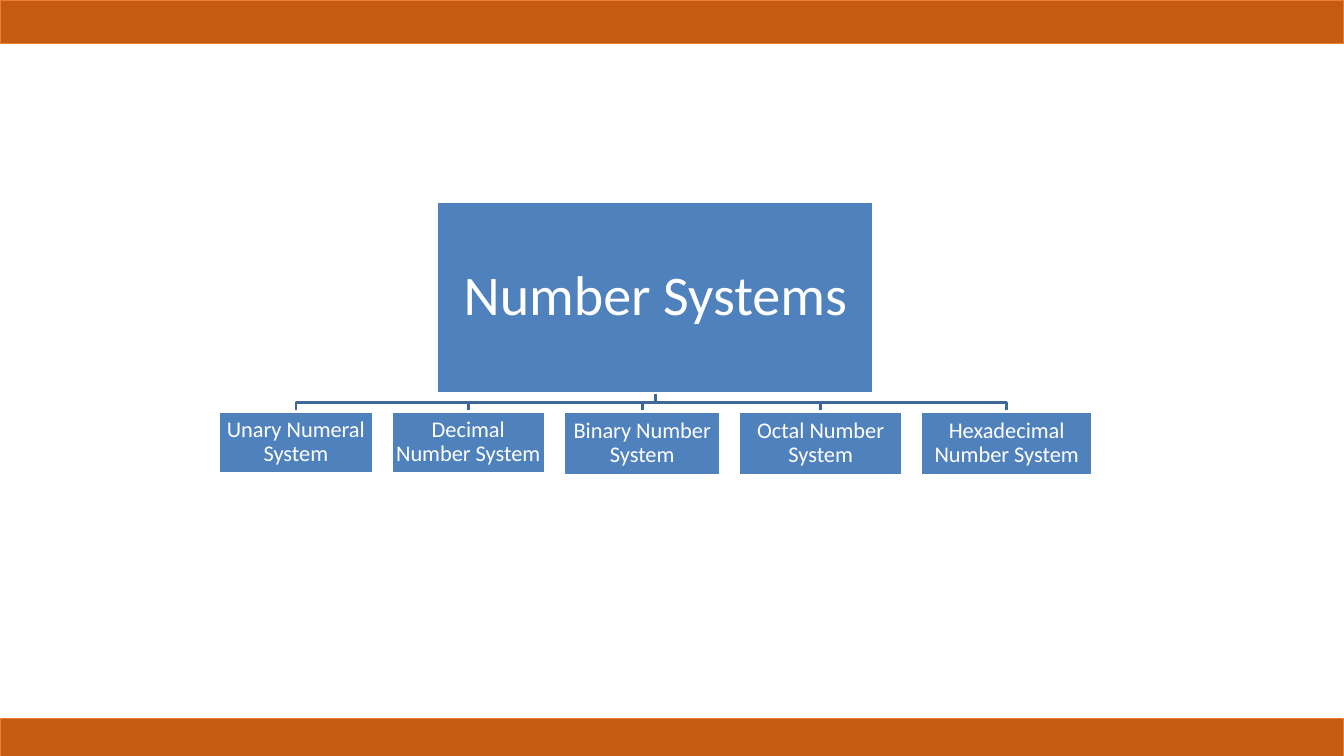
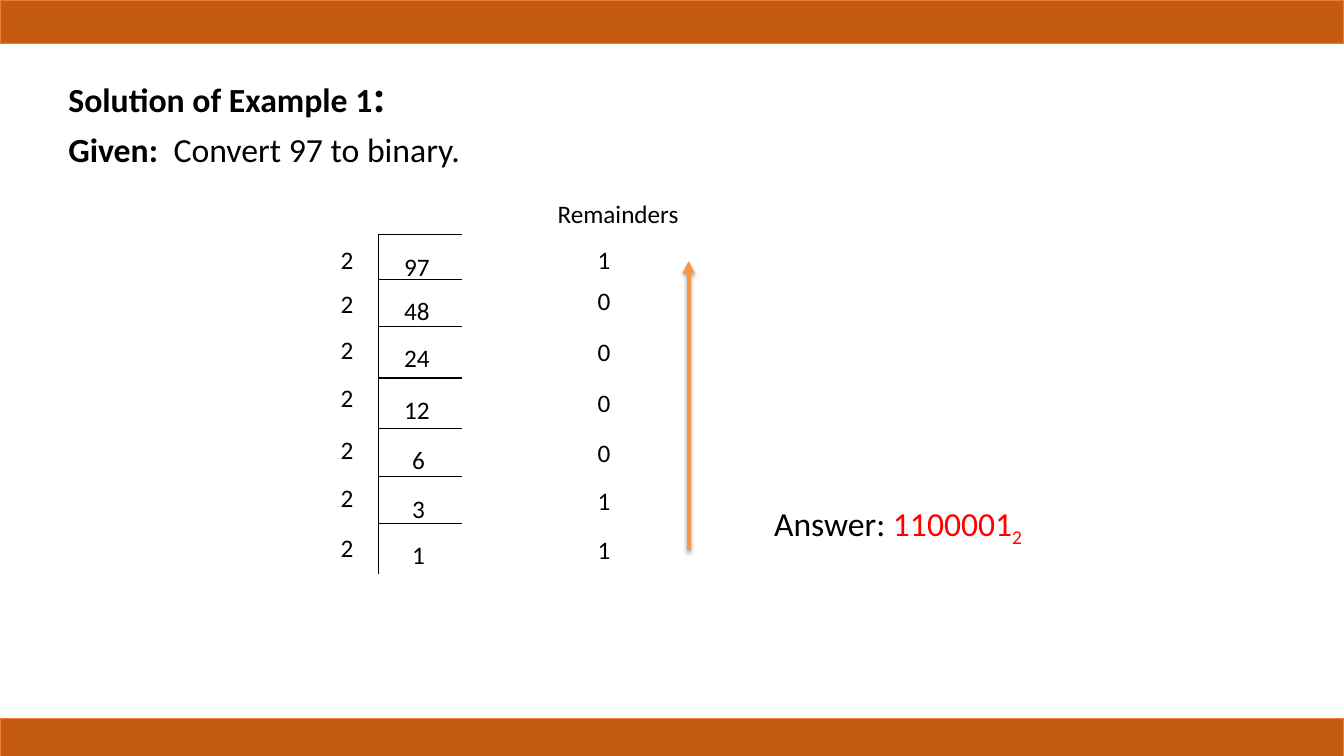
from lxml import etree
from pptx import Presentation
from pptx.dml.color import RGBColor
from pptx.enum.shapes import MSO_CONNECTOR as Connector, MSO_SHAPE as Shape
from pptx.enum.text import MSO_ANCHOR as Anchor, PP_ALIGN as Align
from pptx.oxml.ns import qn
from pptx.util import Inches, Pt

FONT = "Calibri"
BLACK, WHITE, RED = "000000", "FFFFFF", "FF0000"
BAND_FILL, BAND_LINE = "C55A11", "ED7D31"
NODE_FILL, BRANCH = "4F81BD", "3F6797"
ARROW = "F79646"
SLIDE_W, SLIDE_H = 13.33, 7.5
BAND_H, FOOTER_TOP = 0.43, 7.13


def rgb(hex_text):
    return RGBColor.from_string(hex_text)


def style_run(run, size, color=BLACK, bold=False):
    run.font.name = FONT
    run.font.size = Pt(size)
    run.font.bold = bold
    run.font.color.rgb = rgb(color)


def add_rect(slide, box, fill, line, width):
    rect = slide.shapes.add_shape(Shape.RECTANGLE, *map(Inches, box))
    rect.shadow.inherit = False
    rect.fill.solid()
    rect.fill.fore_color.rgb = rgb(fill)
    rect.line.color.rgb = rgb(line)
    rect.line.width = Pt(width)
    return rect


def add_line(slide, start, end, color=BLACK, width=0.75):
    """Draw a straight line; return it with its empty effect list."""
    line = slide.shapes.add_connector(
        Connector.STRAIGHT, *map(Inches, (*start, *end)))
    line.line.color.rgb = rgb(color)
    line.line.width = Pt(width)
    effects = etree.SubElement(line._element.spPr, qn("a:effectLst"))
    return line, effects


def add_text(slide, box, paragraphs, align=Align.LEFT, space_before=0):
    """Each paragraph is a list of (text, size, color, bold) runs."""
    frame = slide.shapes.add_textbox(*map(Inches, box)).text_frame
    frame.word_wrap = True
    for index, parts in enumerate(paragraphs):
        paragraph = frame.add_paragraph() if index else frame.paragraphs[0]
        paragraph.alignment = align
        if index:
            paragraph.space_before = Pt(space_before)
        for text, *style in parts:
            run = paragraph.add_run()
            run.text = text
            style_run(run, *style)
    return frame


def add_bands(slide):
    for top in (0, FOOTER_TOP):
        add_rect(slide, (0, top, SLIDE_W, BAND_H), BAND_FILL, BAND_LINE, 1)


# Hierarchy of number systems
def add_node(slide, box, label, size, inset):
    frame = add_rect(slide, box, NODE_FILL, WHITE, 2).text_frame
    frame.word_wrap = True
    frame.vertical_anchor = Anchor.MIDDLE
    frame.margin_left = frame.margin_right = Inches(inset)
    frame.margin_top = frame.margin_bottom = Inches(inset)
    paragraph = frame.paragraphs[0]
    paragraph.text = label
    paragraph.alignment = Align.CENTER
    paragraph.line_spacing = 0.9
    style_run(paragraph.runs[0], size, WHITE)


def add_branch(slide, start, end):
    middle = (start[1] + end[1]) / 2
    points = [start, (start[0], middle), (end[0], middle), end]
    corners = [(Inches(x), Inches(y)) for x, y in points]
    builder = slide.shapes.build_freeform(*corners[0])
    builder.add_line_segments(corners[1:], close=False)
    branch = builder.convert_to_shape()
    branch.shadow.inherit = False
    branch.fill.background()
    branch.line.color.rgb = rgb(BRANCH)
    branch.line.width = Pt(2)


def add_hierarchy(slide, left, top, width, root, children):
    root_w, root_h, gap = 4.33, 1.9, 0.18
    center, root_bottom = left + width / 2, top + root_h
    child_top = root_bottom + gap

    boxes, child_left = [], left
    for _, child_w, child_h in children:
        boxes.append((child_left, child_top, child_w, child_h))
        child_left += child_w + gap

    for box in boxes:
        add_branch(slide, (center, root_bottom),
                   (box[0] + box[2] / 2, child_top))
    add_node(slide, (center - root_w / 2, top, root_w, root_h), root, 40, 0.03)
    for box, (label, _, _) in zip(boxes, children):
        add_node(slide, box, label, 16, 0.01)


def build_systems_slide(slide):
    systems = [("Unary Numeral System", 1.53, 0.62),
               ("Decimal Number System", 1.53, 0.62),
               ("Binary Number System", 1.56, 0.64),
               ("Octal Number System", 1.62, 0.64),
               ("Hexadecimal Number System", 1.71, 0.64)]
    add_hierarchy(slide, 2.17, 2, 8.66, "Number Systems", systems)
    add_bands(slide)


# Repeated division by two
def add_division(slide, left, top, number, row_tops):
    """Place the header at (left, top); row_tops are relative to top and
    give the bracket, divisor and remainder of each row."""
    bracket_x, bracket_w, bracket_h = left + 0.47, 0.83, 0.5

    def label(x, y, text, width=0.3, align=Align.LEFT):
        add_text(slide, (x, y, width, 0.4), [[(text, 18)]], align)

    label(left + 1.89, top, "Remainders", 1.92, Align.CENTER)
    for bracket, divisor, remainder in row_tops:
        bracket_y = top + bracket
        corner = (bracket_x, bracket_y)
        add_line(slide, corner, (bracket_x, bracket_y + bracket_h))
        add_line(slide, corner, (bracket_x + bracket_w, bracket_y))
        number_x = bracket_x + (0.16 if number > 9 else 0.24)
        label(number_x, bracket_y + 0.11, str(number), 0.6)
        label(left, top + divisor, "2")
        label(left + 2.55, top + remainder, str(number % 2))
        number //= 2


def add_reading_arrow(slide, x, bottom, top):
    arrow, effects = add_line(slide, (x, bottom), (x, top), ARROW, 3)
    etree.SubElement(arrow.line._get_or_add_ln(), qn("a:tailEnd"),
                     type="triangle")
    # Soft shadow below the arrow
    shadow = etree.SubElement(
        effects, qn("a:outerShdw"), blurRad=str(Pt(3.1)), dist=str(Pt(1.8)),
        dir="5400000", rotWithShape="0")
    tint = etree.SubElement(shadow, qn("a:srgbClr"), val=BLACK)
    etree.SubElement(tint, qn("a:alpha"), val="35000")


def add_answer(slide, box):
    frame = add_text(slide, box, [[("Answer: ", 24), ("1100001", 24, RED),
                                   ("2", 24, RED)]])
    base = frame.paragraphs[0].runs[-1]
    base.font._element.set("baseline", "-25000")


def build_solution_slide(slide):
    add_text(slide, (0.58, 0.62, 7.67, 0.98), [
        [("Solution of Example 1", 24.1, BLACK, True),
         (":", 32.4, BLACK, True)],
        [("Given:  ", 24.1, BLACK, True), ("Convert 97 to binary.", 24.1)],
    ], space_before=4.8)
    row_tops = [(0.41, 0.45, 0.45), (0.85, 0.89, 0.86), (1.32, 1.35, 1.37),
                (1.83, 1.82, 1.87), (2.33, 2.34, 2.37), (2.81, 2.82, 2.85),
                (3.27, 3.31, 3.33)]
    add_division(slide, 3.28, 1.92, 97, row_tops)
    add_reading_arrow(slide, 6.83, 5.46, 2.59)
    add_answer(slide, (7.58, 4.94, 3.17, 0.5))
    add_bands(slide)


def main():
    deck = Presentation()
    deck.slide_width, deck.slide_height = Inches(SLIDE_W), Inches(SLIDE_H)
    blank = deck.slide_layouts[6]
    for build in (build_systems_slide, build_solution_slide):
        build(deck.slides.add_slide(blank))
    deck.save("out.pptx")


if __name__ == "__main__":
    main()
